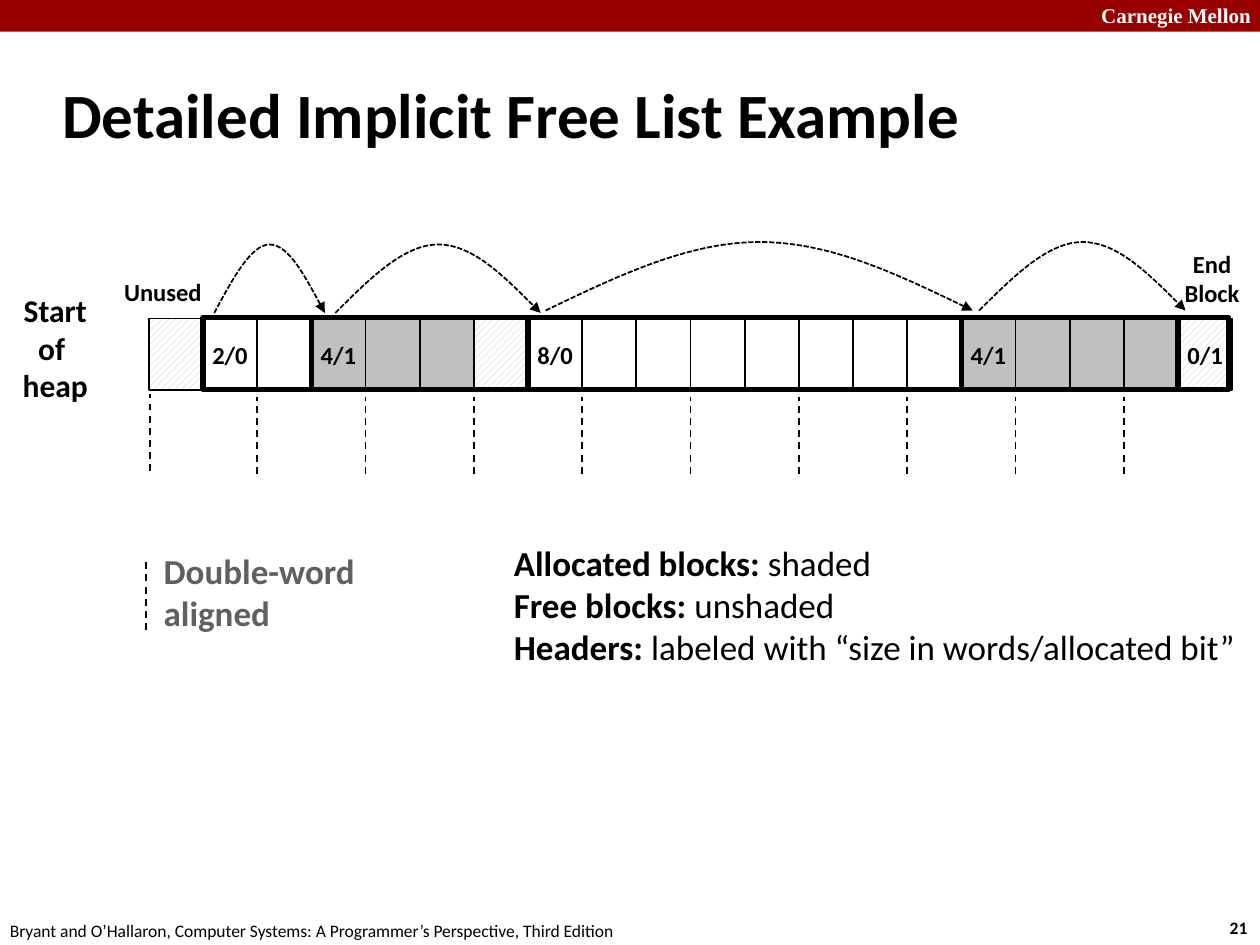
from lxml import etree
from pptx import Presentation
from pptx.dml.color import RGBColor
from pptx.enum import dml, shapes, text
from pptx.oxml.ns import qn
from pptx.util import Cm, Pt


class Theme:
    ink = RGBColor(0, 0, 0)
    paper = RGBColor(255, 255, 255)
    band = RGBColor(0x99, 0, 0)
    shade = RGBColor(0xC0, 0xC0, 0xC0)
    dim = RGBColor(0x60, 0x60, 0x60)
    face = "Calibri"
    serif = "Times New Roman"
    head, body, side, label, brand, foot = 36, 20, 18, 14, 12, 10
    thin, thick = 1, 3


LEFT, MID = text.PP_ALIGN.LEFT, text.PP_ALIGN.CENTER
TOP, MIDDLE = text.MSO_ANCHOR.TOP, text.MSO_ANCHOR.MIDDLE
DASH, DOTS = dml.MSO_LINE.DASH, dml.MSO_LINE.SQUARE_DOT
RECT = shapes.MSO_SHAPE.RECTANGLE


def write(shape, *lines, size, bold=True, color=Theme.ink, face=Theme.face,
          align=LEFT, anchor=TOP, wrap=False, grow=True):
    frame = shape.text_frame
    frame.word_wrap = wrap
    frame.vertical_anchor = anchor
    fit = text.MSO_AUTO_SIZE
    frame.auto_size = fit.SHAPE_TO_FIT_TEXT if grow else fit.NONE
    for n, line in enumerate(lines):
        para = frame.add_paragraph() if n else frame.paragraphs[0]
        para.alignment = align
        parts = [(line, bold)] if isinstance(line, str) else zip(line, (True, False))
        for words, heavy in parts:
            run = para.add_run()
            run.text = words
            font = run.font
            font.name, font.size, font.bold = face, Pt(size), heavy
            font.color.rgb = color


def stroke(item, width=Theme.thin, dash=None):
    item.line.color.rgb = Theme.ink
    item.line.width = Pt(width)
    if dash:
        item.line.dash_style = dash
    etree.SubElement(item.element.spPr, qn("a:effectLst"))


deck = Presentation()
deck.slide_width, deck.slide_height = Cm(25.4), Cm(19.05)
slide = deck.slides.add_slide(deck.slide_layouts[5])
pool = slide.shapes

band = pool.add_shape(RECT, 0, 0, Cm(25.4), Cm(0.64))
band.fill.solid()
band.fill.fore_color.rgb = Theme.band
band.line.fill.background()
band.shadow.inherit = False

title = pool.title
title.left, title.top, title.width, title.height = Cm(1), Cm(1.22), Cm(21.08), Cm(2.11)
write(title, "Detailed Implicit Free List Example", size=Theme.head,
      anchor=MIDDLE, wrap=True, grow=False)

notes = [
    ((21.95, -0.08, 3.63, 0.76), ["Carnegie Mellon"],
     dict(size=Theme.brand, face=Theme.serif, color=Theme.paper, wrap=True)),
    ((24.54, 18.36, 0.94, 0.69), ["21"], dict(size=Theme.foot)),
    ((-0.05, 18.42, 12.9, 0.69),
     ["Bryant and O’Hallaron, Computer Systems: A Programmer’s Perspective, Third Edition"],
     dict(size=Theme.foot, bold=False)),
    ((0.2, 5.72, 1.83, 2.57), ["Start ", "of ", "heap"],
     dict(size=Theme.side, align=MID, anchor=MIDDLE)),
    ((3.05, 10.95, 5.18, 1.96), ["Double-word", "aligned"],
     dict(size=Theme.body, color=Theme.dim, anchor=MIDDLE, wrap=True)),
    ((10.11, 10.8, 15.16, 2.82),
     [("Allocated blocks: ", "shaded"), ("Free blocks: ", "unshaded"),
      ("Headers: ", "labeled with “size in words/allocated bit”")],
     dict(size=Theme.body)),
    ((2.13, 5.41, 2.31, 0.94), ["Unused"],
     dict(size=Theme.label, align=MID, anchor=MIDDLE)),
    ((23.62, 4.88, 1.63, 1.45), ["End", "Block"],
     dict(size=Theme.label, align=MID, anchor=MIDDLE)),
]
for spot, lines, look in notes:
    write(pool.add_textbox(*map(Cm, spot)), *lines, **look)

COUNT = 20
START, PITCH = 3, 20.75 / (COUNT - 1)
ROW, TALL = 6.42, 1.45
heads = {1: "2/0", 3: "4/1", 7: "8/0", 15: "4/1", 19: "0/1"}
shaded = {3, 4, 5, 15, 16, 17, 18}
hatched = {0, 6, 19}

for n in range(COUNT):
    cell = pool.add_shape(RECT, Cm(START + n * PITCH), Cm(ROW), Cm(PITCH), Cm(TALL))
    if n in hatched:
        cell.fill.patterned()
        cell.fill.pattern = dml.MSO_PATTERN.WIDE_UPWARD_DIAGONAL
        cell.fill.fore_color.rgb = Theme.shade
        cell.fill.back_color.rgb = Theme.paper
    else:
        cell.fill.solid()
        cell.fill.fore_color.rgb = Theme.shade if n in shaded else Theme.paper
    stroke(cell)
    if n in heads:
        write(cell, heads[n], size=Theme.label, align=MID, anchor=MIDDLE, grow=False)

edges = [*heads, COUNT]
for first, last in zip(edges, edges[1:]):
    wide = (last - first) * PITCH if last < COUNT else 1.02
    block = pool.add_shape(RECT, Cm(START + first * PITCH), Cm(6.4), Cm(wide), Cm(TALL))
    block.fill.background()
    stroke(block, Theme.thick)

marks = [(START + n * PITCH, 9.55, 8) for n in range(0, COUNT, 2) if n < 19]
marks[0] = (3.02, 9.5, 7.95)
for x, low, high in [(2.95, 12.7, 11.3), *marks]:
    mark = pool.add_connector(shapes.MSO_CONNECTOR.STRAIGHT, Cm(x), Cm(low), Cm(x), Cm(high))
    stroke(mark, dash=DASH)

RISE = 1.38
curve = [(1 / 6, 0.5), (1 / 3, 0), (1 / 2, 0), (2 / 3, 0), (5 / 6, 0.5), (1, 1)]
hops = [(4.32, 6.55, 4.93), (6.76, 10.9, 4.93), (11, 19.61, 4.88), (19.74, 23.9, 4.88)]
for near, far, peak in hops:
    pen = pool.build_freeform(Cm(near), Cm(peak + RISE))
    pen.add_line_segments(
        [(Cm(near + u * (far - near)), Cm(peak + v * RISE)) for u, v in curve], close=False)
    arc = pen.convert_to_shape()
    arc.fill.background()
    stroke(arc, dash=DOTS)
    steps = list(arc.element.iter(qn("a:lnTo")))
    track = steps[0].getparent()
    for k in (0, 3):
        bend = etree.SubElement(track, qn("a:cubicBezTo"))
        for step in steps[k:k + 3]:
            bend.append(step[0])
            track.remove(step)
    line = arc.element.spPr.find(qn("a:ln"))
    etree.SubElement(line, qn("a:tailEnd"), type="triangle")

deck.save("out.pptx")
